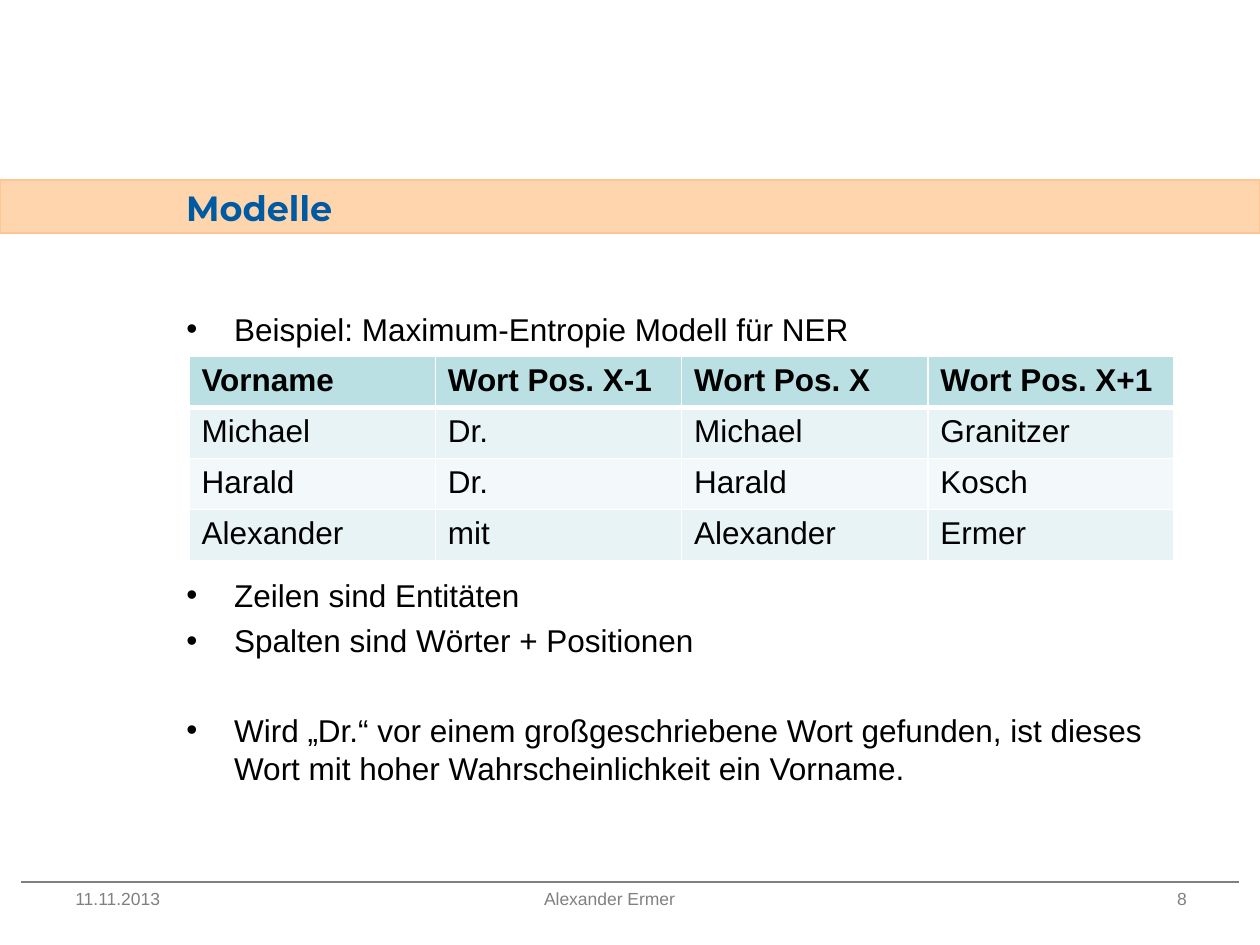
from dataclasses import dataclass
from lxml import etree
from pptx import Presentation
from pptx import util as u
from pptx.dml.color import RGBColor
from pptx.enum import shapes, text
from pptx.oxml.ns import qn


@dataclass(frozen=True)
class Theme:
    band: str = "FFD5AD"
    band_edge: str = "FFC695"
    title: str = "005AA1"
    ink: str = "000000"
    muted: str = "808080"
    white: str = "FFFFFF"
    head: str = "BBE0E3"
    rows: tuple = ("E7F3F4", "F3F9FA")
    title_font: str = "Montserrat"
    body_font: str = "Arial"
    title_size: float = 20
    body_size: float = 18
    footer_size: float = 10


THEME = Theme()
WIDTH, HEIGHT = 10, 7.5
INDENT = 0.38
PARA_GAP = 4.4  # points between list items
BLANK_LINE = 25.2  # points taken by one skipped line

BULLETS = [  # wording, lines skipped above
    ("Beispiel: Maximum-Entropie Modell für NER", 0),
    ("Zeilen sind Entitäten", 5),
    ("Spalten sind Wörter + Positionen", 0),
    ("Wird „Dr.“ vor einem großgeschriebene Wort gefunden, ist dieses "
     "Wort mit hoher Wahrscheinlichkeit ein Vorname.", 1),
]
TABLE = [
    ["Vorname", "Wort Pos. X-1", "Wort Pos. X", "Wort Pos. X+1"],
    ["Michael", "Dr.", "Michael", "Granitzer"],
    ["Harald", "Dr.", "Harald", "Kosch"],
    ["Alexander", "mit", "Alexander", "Ermer"],
]


def inches(*values):
    return [u.Inches(value) for value in values]


def color(code):
    return RGBColor.from_string(code)


def add_span(para, words, size, ink, font=THEME.body_font, bold=False):
    span = para.add_run()
    span.text = words
    span.font.size = u.Pt(size)
    span.font.name = font
    span.font.bold = bold
    span.font.color.rgb = color(ink)


def add_text_frame(page, box):
    frame = page.shapes.add_textbox(*inches(*box)).text_frame
    frame.word_wrap = True
    return frame


def add_title_band(page, box, title_box):
    # Coloured strip
    band = page.shapes.add_shape(shapes.MSO_SHAPE.RECTANGLE, *inches(*box))
    band.shadow.inherit = False
    band.fill.solid()
    band.fill.fore_color.rgb = color(THEME.band)
    band.line.color.rgb = color(THEME.band_edge)
    band.line.width = u.Pt(1)
    # Title
    frame = add_text_frame(page, title_box)
    frame.vertical_anchor = text.MSO_ANCHOR.MIDDLE
    add_span(frame.paragraphs[0], "Modelle", THEME.title_size, THEME.title,
             THEME.title_font, True)


def add_footer(page, box, margin):
    left, top, width, height = box
    # Rule
    rule = page.shapes.add_connector(
        shapes.MSO_CONNECTOR.STRAIGHT,
        *inches(margin, top, WIDTH - margin, top))
    rule.line.color.rgb = color(THEME.muted)
    rule.line.width = u.Pt(0.75)
    etree.SubElement(rule.element.spPr, qn("a:effectLst"))
    # Date, author and page number on tab stops
    para = add_text_frame(page, box).paragraphs[0]
    add_span(para, "11.11.2013\tAlexander Ermer\t8",
             THEME.footer_size, THEME.muted)
    stops = etree.SubElement(para._p.get_or_add_pPr(), qn("a:tabLst"))
    for position, side in ((3.72, "l"), (8.82, "r")):
        etree.SubElement(stops, qn("a:tab"), pos=str(u.Inches(position)),
                         algn=side)


def add_bullets(page, box):
    frame = add_text_frame(page, box)
    for index, (words, skipped) in enumerate(BULLETS):
        para = frame.add_paragraph() if index else frame.paragraphs[0]
        para.space_before = u.Pt(PARA_GAP + skipped * BLANK_LINE)
        props = para._p.get_or_add_pPr()
        props.set("marL", str(u.Inches(INDENT)))
        props.set("indent", str(-u.Inches(INDENT)))
        etree.SubElement(props, qn("a:buFont"), typeface=THEME.body_font)
        etree.SubElement(props, qn("a:buChar"), char="•")
        add_span(para, words, THEME.body_size, THEME.ink)


def set_borders(cell, widths):
    props = cell._tc.get_or_add_tcPr()
    for index, (side, points) in enumerate(widths.items()):
        line = etree.Element(qn(f"a:ln{side}"), w=str(u.Pt(points)))
        fill = etree.SubElement(line, qn("a:solidFill"))
        etree.SubElement(fill, qn("a:srgbClr"), val=THEME.white)
        props.insert(index, line)


def add_word_table(page, box):
    table = page.shapes.add_table(len(TABLE), len(TABLE[0]),
                                  *inches(*box)).table
    for r, row in enumerate(TABLE):
        is_head = r == 0
        shade = THEME.head if is_head else THEME.rows[(r - 1) % 2]
        widths = {"L": 1, "R": 1, "T": 3 if r == 1 else 1,
                  "B": 3 if is_head else 1}
        for c, words in enumerate(row):
            cell = table.cell(r, c)
            cell.fill.solid()
            cell.fill.fore_color.rgb = color(shade)
            set_borders(cell, widths)
            add_span(cell.text_frame.paragraphs[0], words, THEME.body_size,
                     THEME.ink, bold=is_head)


def main():
    deck = Presentation()
    deck.slide_width, deck.slide_height = inches(WIDTH, HEIGHT)
    page = deck.slides.add_slide(deck.slide_layouts[6])
    add_title_band(page, (0, 1.43, WIDTH, 0.42), (1.38, 1.02, 8.2, 1.25))
    add_footer(page, (0.5, 7, 9.07, 0.5), 0.17)
    add_bullets(page, (1.38, 2.41, 8.08, 3.65))
    add_word_table(page, (1.5, 2.83, 7.82, 1.62))
    deck.save("out.pptx")


if __name__ == "__main__":
    main()
